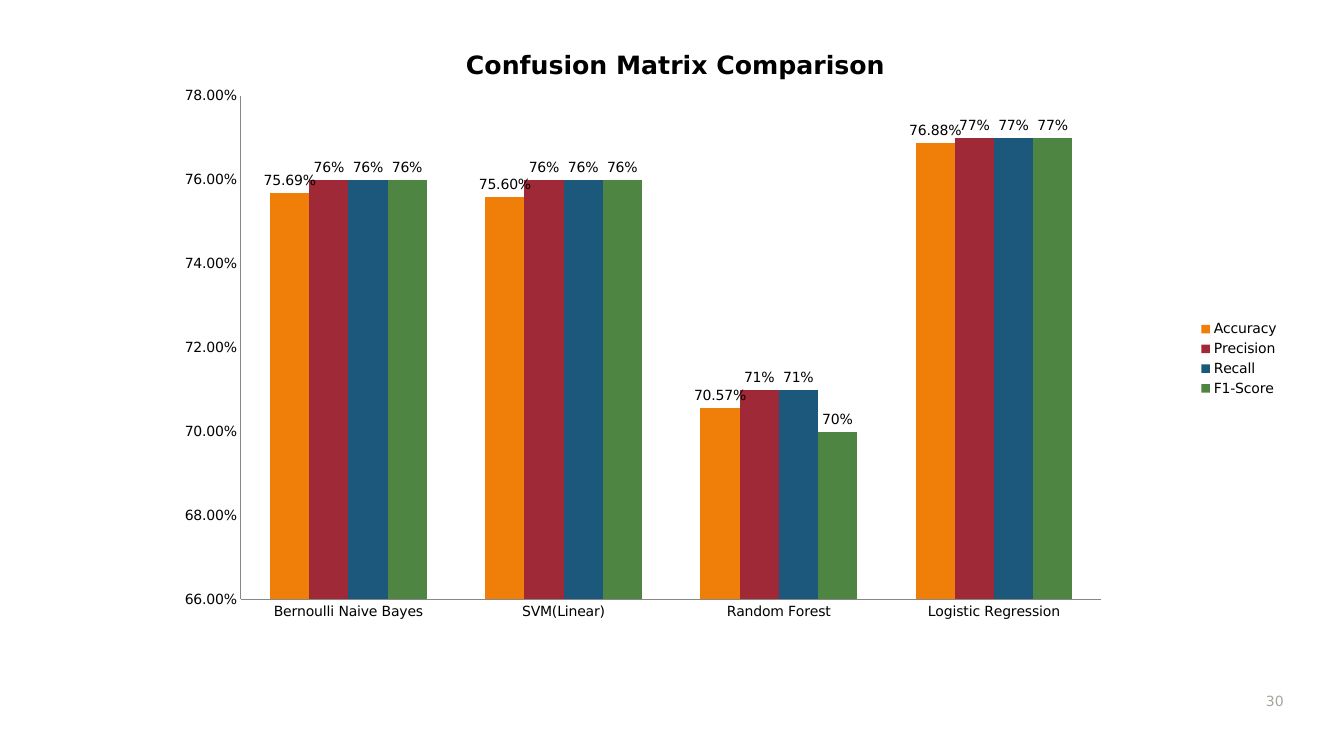
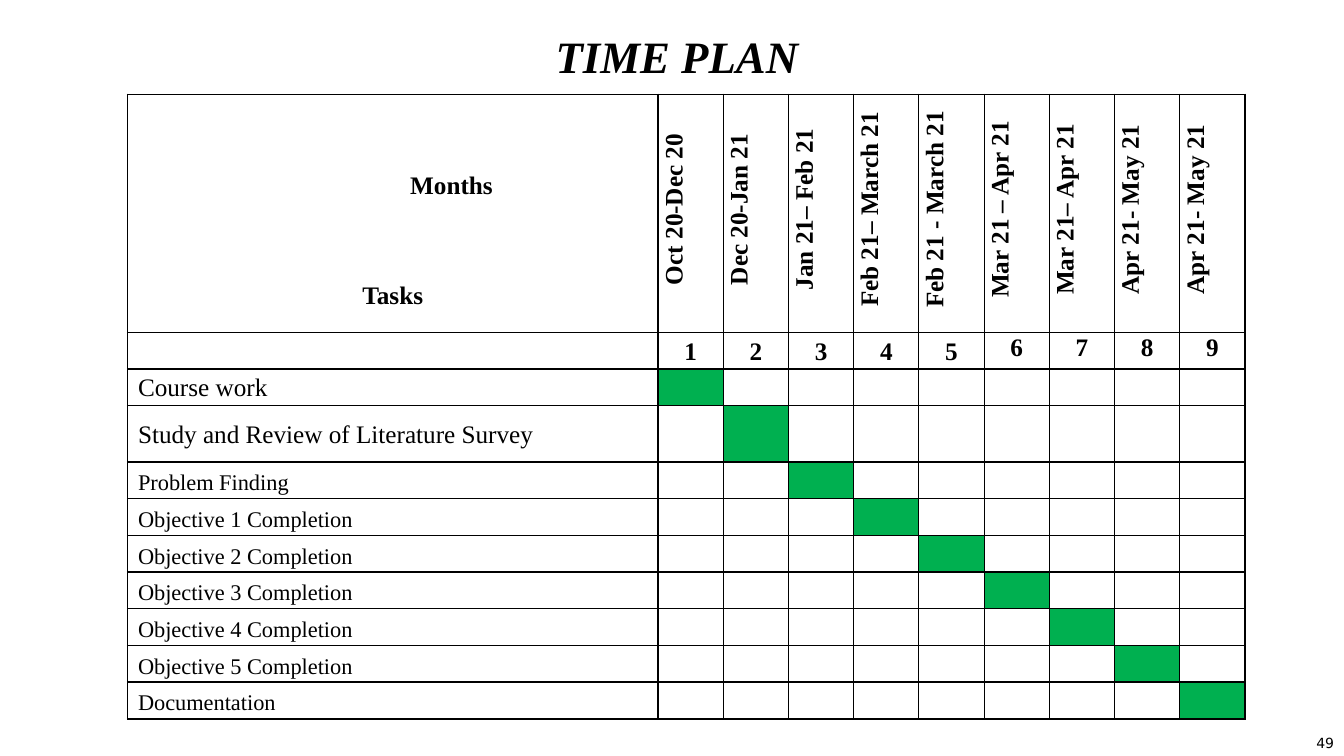
import pptx
import pptx.util
import pptx.dml.color
import pptx.chart.data
import pptx.enum.chart
import pptx.enum.text
import pptx.oxml
import pptx.oxml.ns
import lxml.etree

Pt = pptx.util.Pt
ALIGN = pptx.enum.text.PP_ALIGN
ANCHOR = pptx.enum.text.MSO_ANCHOR

COLORS = {
    "ink": "000000",
    "muted": "A8A49B",
    "axis": "878787",
    "done": "00B050",
    "Accuracy": "F07F09",
    "Precision": "9F2936",
    "Recall": "1B587C",
    "F1-Score": "4E8542",
}
SANS, SERIF = "DejaVu Sans", "Times New Roman"
SLIDE_W, SLIDE_H = 960, 540

CLASSIFIERS = ["Bernoulli Naive Bayes", "SVM(Linear)", "Random Forest", "Logistic Regression"]
SCORES = {
    "Accuracy": (0.7569, 0.756, 0.7057, 0.7688),
    "Precision": (0.76, 0.76, 0.71, 0.77),
    "Recall": (0.76, 0.76, 0.71, 0.77),
    "F1-Score": (0.76, 0.76, 0.7, 0.77),
}
PERIODS = ["Oct 20-Dec 20", "Dec 20-Jan 21", "Jan 21– Feb 21", "Feb 21– March 21",
           "Feb 21 - March 21", "Mar 21 – Apr 21", "Mar 21– Apr 21", "Apr 21- May 21",
           "Apr 21- May 21"]
TASKS = ["Course work", "Study and Review of Literature Survey", "Problem Finding",
         *[f"Objective {n} Completion" for n in range(1, 6)], "Documentation"]


def rgb(name):
    return pptx.dml.color.RGBColor.from_string(COLORS[name])


def set_font(font, face, size, color="ink", bold=False, italic=False):
    font.name, font.size, font.bold, font.italic = face, Pt(size), bold, italic
    font.color.rgb = rgb(color)


def place(box):
    return [Pt(length) for length in box]


def add_page_number(slide, box, number, color):
    frame = slide.shapes.add_textbox(*place(box)).text_frame
    frame.word_wrap = True
    frame.vertical_anchor = ANCHOR.BOTTOM
    label = frame.paragraphs[0]
    label.text = number
    label.alignment = ALIGN.RIGHT
    set_font(label.font, SANS, 10, color)


def set_title(slide, box, text):
    title = slide.shapes.title
    title.left, title.top, title.width, title.height = place(box)
    frame = title.text_frame
    frame.auto_size = pptx.enum.text.MSO_AUTO_SIZE.NONE
    frame.vertical_anchor = ANCHOR.TOP
    frame.margin_left, frame.margin_top, frame.margin_right = Pt(14.4), Pt(7.2), Pt(7.2)
    heading = frame.paragraphs[0]
    heading.text = text
    heading.alignment = ALIGN.CENTER
    set_font(heading.font, SERIF, 32, bold=True, italic=True)


# Score chart
def set_plot_layout(chart, x, y, w, h):
    plot_area = chart._chartSpace.chart.plotArea
    for old in plot_area.findall(pptx.oxml.ns.qn("c:layout")):
        plot_area.remove(old)
    settings = [("layoutTarget", "inner"), ("xMode", "edge"), ("yMode", "edge"),
                ("x", x), ("y", y), ("w", w), ("h", h)]
    items = "".join(f'<c:{tag} val="{value}"/>' for tag, value in settings)
    plot_area.insert(0, pptx.oxml.parse_xml(
        f'<c:layout {pptx.oxml.ns.nsdecls("c")}><c:manualLayout>{items}</c:manualLayout></c:layout>'))


def add_score_chart(slide, box):
    data = pptx.chart.data.CategoryChartData()
    data.categories = CLASSIFIERS
    for measure, scores in SCORES.items():
        data.add_series(measure, scores, "0.00%" if measure == "Accuracy" else "0%")
    chart = slide.shapes.add_chart(
        pptx.enum.chart.XL_CHART_TYPE.COLUMN_CLUSTERED, *place(box), data).chart
    set_font(chart.font, SANS, 10)

    chart.has_title = True
    heading = chart.chart_title.text_frame.paragraphs[0]
    heading.text = "Confusion Matrix Comparison"
    set_font(heading.font, SANS, 18, bold=True)
    chart.chart_title.include_in_layout = False
    chart.has_legend = True
    chart.legend.position = pptx.enum.chart.XL_LEGEND_POSITION.RIGHT
    chart.legend.include_in_layout = False
    set_plot_layout(chart, 0.146, 0.106, 0.701, 0.755)

    for axis in (chart.category_axis, chart.value_axis):
        axis.major_tick_mark = axis.minor_tick_mark = pptx.enum.chart.XL_TICK_MARK.NONE
        axis.has_major_gridlines = False
        axis.format.line.color.rgb = rgb("axis")
        axis.format.line.width = Pt(0.75)
    scale = chart.value_axis
    scale.minimum_scale, scale.maximum_scale, scale.major_unit = 0.66, 0.78, 0.02
    scale.tick_labels.number_format = "0.00%"
    scale.tick_labels.number_format_is_linked = False

    columns = chart.plots[0]
    columns.gap_width, columns.overlap = 150, 0
    columns.vary_by_categories = False
    for measure in columns.series:
        measure.format.fill.solid()
        measure.format.fill.fore_color.rgb = rgb(measure.name)
        labels = measure.data_labels
        labels.show_value = True
        labels.position = pptx.enum.chart.XL_LABEL_POSITION.OUTSIDE_END
        labels.number_format = "0.00%" if measure.name == "Accuracy" else "0%"
        labels.number_format_is_linked = False


# Time plan table
def style_cell(cell, top=1, bottom=1, done=False):
    cell.margin_left = cell.margin_right = Pt(7.6)
    cell.margin_top, cell.margin_bottom = Pt(1.4), Pt(0)
    cell.vertical_anchor = ANCHOR.MIDDLE
    properties = cell._tc.get_or_add_tcPr()
    for side, width in (("L", 1), ("R", 1), ("T", top), ("B", bottom)):
        properties.append(pptx.oxml.parse_xml(
            f'<a:ln{side} {pptx.oxml.ns.nsdecls("a")} w="{Pt(width)}"><a:solidFill>'
            f'<a:srgbClr val="{COLORS["ink"]}"/></a:solidFill></a:ln{side}>'))
    if done:
        cell.fill.solid()
        cell.fill.fore_color.rgb = rgb("done")
    else:
        cell.fill.background()


def write_cell(cell, text, size=18, bold=True, align=ALIGN.CENTER):
    cell.text = text
    for line in cell.text_frame.paragraphs:
        line.alignment = align
        set_font(line.font, SERIF, size, bold=bold)
    return cell.text_frame.paragraphs


def add_time_plan(slide, box):
    left, top, width, height = box
    period_w, row_h, tall_row_h = 46.6, 26.2, 40.3
    row_count, column_count = len(TASKS) + 2, len(PERIODS) + 1
    table = slide.shapes.add_table(row_count, column_count, *place(box)).table
    table.first_row = table.horz_banding = False

    heights = [row_h] * row_count
    heights[3] = tall_row_h
    heights[0] = height - sum(heights[1:])
    for row, row_height in zip(table.rows, heights):
        row.height = Pt(row_height)
    for column in table.columns:
        column.width = Pt(period_w)
    table.columns[0].width = Pt(width - period_w * len(PERIODS))

    # Each task fills the period on the diagonal
    for r in range(row_count):
        for c in range(column_count):
            style_cell(table.cell(r, c), top=1.5 if r == 0 else 1,
                       bottom=1.5 if r == row_count - 1 else 1,
                       done=c > 0 and r == c + 1)

    # Corner with both headings
    corner = table.cell(0, 0)
    months, tasks = write_cell(corner, "Months\nTasks")
    corner.vertical_anchor = ANCHOR.BOTTOM
    corner.margin_bottom = Pt(16)
    months._p.get_or_add_pPr().set("marL", str(Pt(84)))
    tasks.space_before = Pt(58.5)

    # Turned period names and their numbers
    for number, period in enumerate(PERIODS, 1):
        header = table.cell(0, number)
        header._tc.get_or_add_tcPr().set("vert", "vert270")
        name = write_cell(header, period)[0]
        name._p.get_or_add_pPr().set("marL", str(Pt(5.6)))
        count = table.cell(1, number)
        write_cell(count, str(number))
        if number > 5:
            count.vertical_anchor = ANCHOR.TOP

    # Task names
    for r, task in enumerate(TASKS):
        large = r < 2
        name = write_cell(table.cell(r + 2, 0), task, 18 if large else 16, False, ALIGN.LEFT)[0]
        if not large:
            name.line_spacing = 1.15


def build_score_slide(deck):
    slide = deck.slides.add_slide(deck.slide_layouts[6])
    add_page_number(slide, (876, 481, 48, 29), "30", "muted")
    add_score_chart(slide, (44, 18, 877, 476.5))


def build_plan_slide(deck):
    slide = deck.slides.add_slide(deck.slide_layouts[5])
    set_title(slide, (0, 13, SLIDE_W, 50), "TIME PLAN")
    add_page_number(slide, (926.5, 506, 33.5, 34), "49", "ink")
    add_time_plan(slide, (91, 67.5, 798.5, 446))


def main():
    deck = pptx.Presentation()
    deck.slide_width, deck.slide_height = Pt(SLIDE_W), Pt(SLIDE_H)
    build_score_slide(deck)
    build_plan_slide(deck)
    deck.save("out.pptx")


if __name__ == "__main__":
    main()
